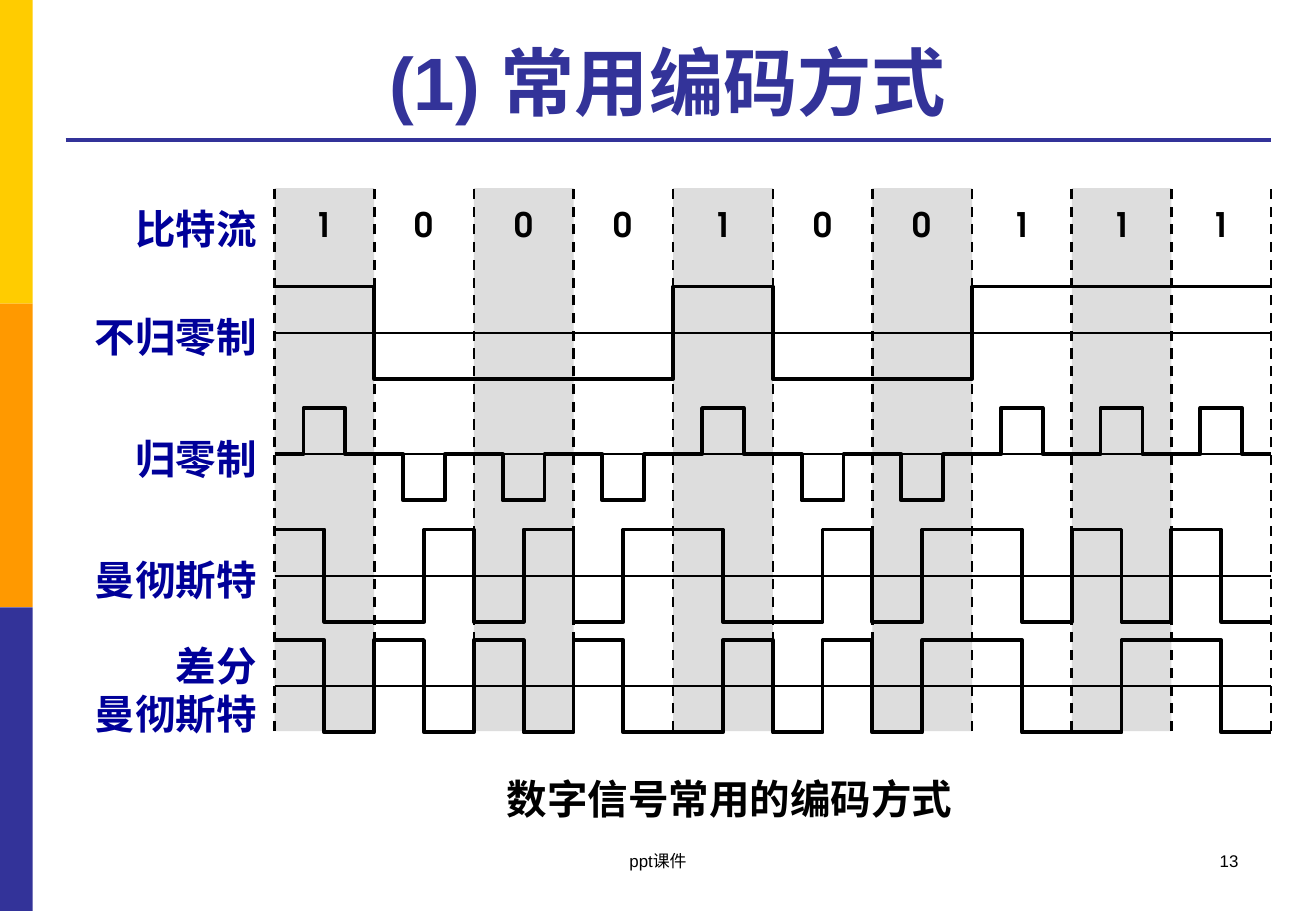
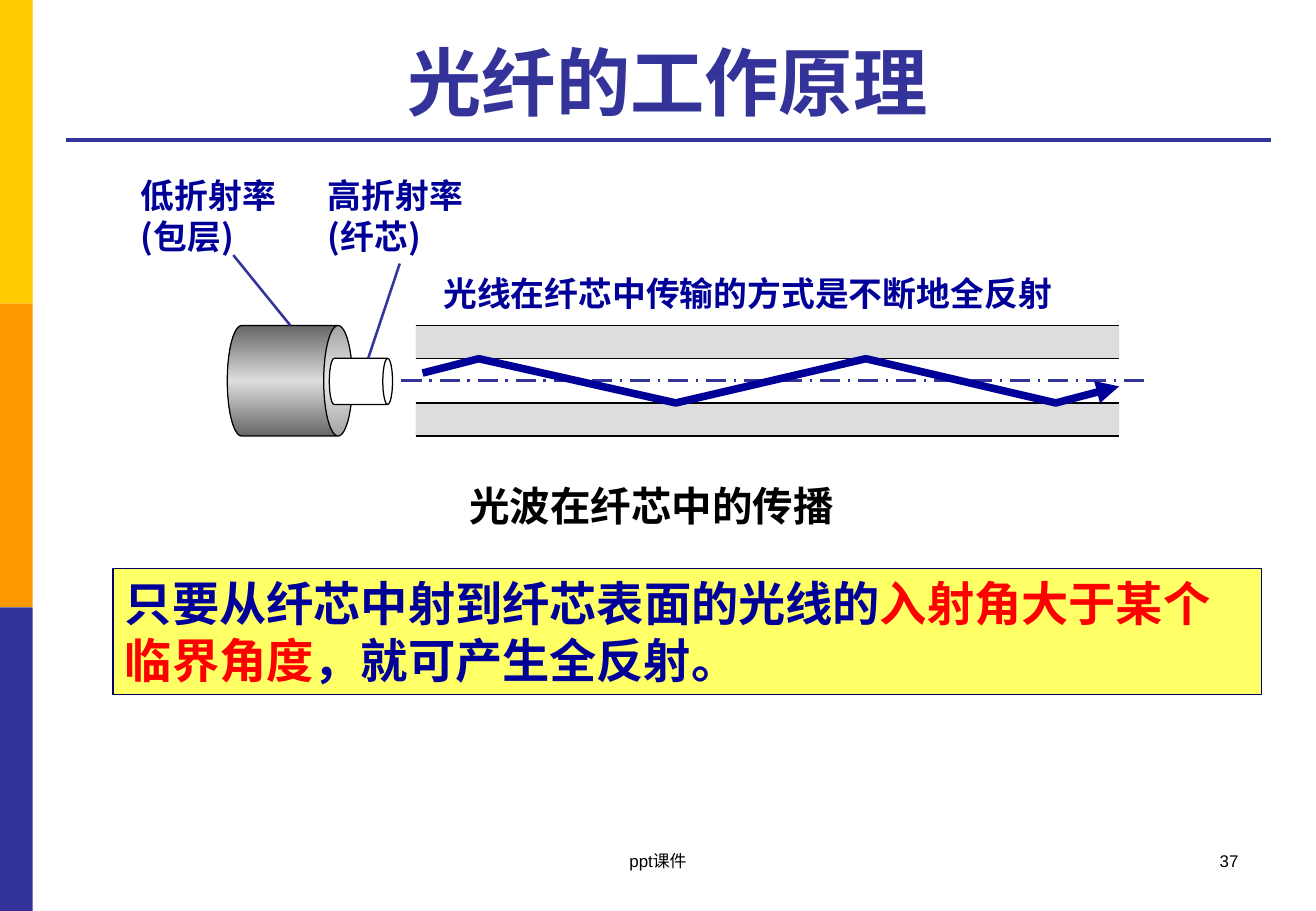
import copy
import dataclasses
import itertools

import pptx
import pptx.dml.color
import pptx.enum.dml
import pptx.enum.shapes
import pptx.enum.text
import pptx.oxml
import pptx.oxml.ns
import pptx.util

SHAPES = pptx.enum.shapes.MSO_SHAPE
DASHES = pptx.enum.dml.MSO_LINE
ALIGN = pptx.enum.text.PP_ALIGN
ANCHOR = pptx.enum.text.MSO_ANCHOR

INDIGO, NAVY, BLACK, WHITE, GREY = "333399", "000099", "000000", "FFFFFF", "DDDDDD"
BANDS = ["FFCC00", "FF9900", INDIGO]
CHINESE_FONT = "Noto Sans CJK SC"
CELL = 0.1


@dataclasses.dataclass
class Box:
    left: float
    top: float
    width: float
    height: float

    def inner(self, left, top, width, height):
        return Box(self.left + left, self.top + top, width, height)

    def point(self, across, down):
        return self.left + across * self.width, self.top + down * self.height

    def emu(self):
        return [cells(value) for value in dataclasses.astuple(self)]


PAGE = Box(0, 0, 108.3, 75)


def cells(count):
    return pptx.util.Inches(count * CELL)


def color(hex_string):
    return pptx.dml.color.RGBColor.from_string(hex_string)


def stroke(line, hex_string, width, dash=None):
    line.color.rgb = color(hex_string)
    line.width = pptx.util.Pt(width)
    if dash:
        line.dash_style = dash


def add_line(slide, start, end, hex_string=BLACK, width=1, dash=None):
    connector = slide.shapes.add_connector(
        pptx.enum.shapes.MSO_CONNECTOR.STRAIGHT, *map(cells, (*start, *end)))
    stroke(connector.line, hex_string, width, dash)
    connector._element.spPr.append(pptx.oxml.parse_xml(
        f"<a:effectLst {pptx.oxml.ns.nsdecls('a')}/>"))


def add_shape(slide, box, fill, line=None, preset=SHAPES.RECTANGLE):
    shape = slide.shapes.add_shape(preset, *box.emu())
    shape.shadow.inherit = False
    shape.fill.solid()
    shape.fill.fore_color.rgb = color(fill)
    if line:
        stroke(shape.line, line, 0.75)
    else:
        shape.line.fill.background()
    return shape


def add_path(slide, points, hex_string, width):
    corners = [(cells(across), cells(down)) for across, down in points]
    builder = slide.shapes.build_freeform(*corners[0], scale=1.0)
    builder.add_line_segments(corners[1:], close=False)
    shape = builder.convert_to_shape()
    shape.shadow.inherit = False
    shape.fill.background()
    stroke(shape.line, hex_string, width)
    return shape


def write(shape, lines, size, hex_string, align=ALIGN.LEFT, anchor=ANCHOR.TOP,
          bold=True, font="Arial"):
    frame = shape.text_frame
    frame.word_wrap = True
    frame.vertical_anchor = anchor
    for index, runs in enumerate(lines):
        paragraph = frame.paragraphs[0] if index == 0 else frame.add_paragraph()
        paragraph.alignment = align
        paragraph.font.name = font
        paragraph.font.size = pptx.util.Pt(size)
        paragraph.font.bold = bold
        paragraph.font.color.rgb = color(hex_string)
        for text, run_color in runs if isinstance(runs, list) else [(runs, None)]:
            run = paragraph.add_run()
            run.text = text
            if run_color:
                run.font.color.rgb = color(run_color)


def add_text(slide, box, lines, size, hex_string, **style):
    write(slide.shapes.add_textbox(*box.emu()), lines, size, hex_string, **style)


def add_frame(presentation, title, number):
    slide = presentation.slides.add_slide(presentation.slide_layouts[6])
    band_height = PAGE.height / len(BANDS)
    for index, fill in enumerate(BANDS):
        add_shape(slide, PAGE.inner(0, index * band_height, 2.7, band_height), fill)
    add_line(slide, (5.4, 11.5), (104.6, 11.5), INDIGO, 2.25)
    add_text(slide, PAGE.inner(5.4, 2.1, 99.1, 8.7), [title], 44, INDIGO,
             align=ALIGN.CENTER, anchor=ANCHOR.BOTTOM)
    add_text(slide, PAGE.inner(37, 69.5, 34.3, 5), ["ppt课件"], 10, BLACK,
             align=ALIGN.CENTER, bold=False)
    add_text(slide, PAGE.inner(77.6, 69.5, 25.3, 5), [number], 10, BLACK,
             align=ALIGN.RIGHT, bold=False)
    return slide


def add_caption(slide, box, text):
    add_text(slide, box, [text], 24, BLACK, align=ALIGN.CENTER)


def non_return_to_zero(bits):
    return [(1, 1 if bit == "1" else -1) for bit in bits]


def return_to_zero(bits):
    return [segment for width, level in non_return_to_zero(bits)
            for segment in [(0.29, 0), (0.42, level), (0.29, 0)]]


def manchester(bits):
    return [segment for width, level in non_return_to_zero(bits)
            for segment in [(0.5, level), (0.5, -level)]]


def differential_manchester(bits):
    segments, level = [], 1
    for index, bit in enumerate(bits):
        if bit == "0" and index > 0:
            level = -level
        segments += [(0.5, level), (0.5, -level)]
        level = -level
    return segments


def add_signal(slide, left, axis, column, segments):
    amplitude = 3.8
    ends = list(itertools.accumulate((width for width, level in segments), initial=0))
    points = [(left + edge * column, axis - level * amplitude)
              for (width, level), span in zip(segments, itertools.pairwise(ends))
              for edge in span]
    add_path(slide, points, BLACK, 2.25)


def add_encoding_chart(slide, box, bits):
    column = box.width / len(bits)
    bit_row = 3.2
    signals = [
        (["不归零制"], 12.1, non_return_to_zero),
        (["归零制"], 22.1, return_to_zero),
        (["曼彻斯特"], 32.1, manchester),
        (["差分", "曼彻斯特"], 41.2, differential_manchester),
    ]
    for index in range(0, len(bits), 2):
        add_shape(slide, box.inner(index * column, 0.2, column, box.height - 0.2), GREY)
    for index, bit in enumerate(bits):
        add_text(slide, box.inner(index * column, bit_row - 2.2, column, 4.3), [bit], 20,
                 BLACK, align=ALIGN.CENTER, font="TeX Gyre Adventor")
    for index in range(len(bits) + 1):
        share = index / len(bits)
        add_line(slide, box.point(share, 1), box.point(share, 0), width=1.5,
                 dash=DASHES.DASH)
    for label, row, encode in [(["比特流"], bit_row, None), *signals]:
        height = 5 if len(label) == 1 else 9.1
        add_text(slide, box.inner(-16.5, row + 0.3 - height / 2, 16, height), label, 24,
                 NAVY, align=ALIGN.RIGHT)
        if encode:
            axis = box.top + row
            add_line(slide, (box.left, axis), (box.left + box.width, axis))
            add_signal(slide, box.left, axis, column, encode(bits))


def add_can(slide, box, fill, depth):
    upright = Box(box.left + (box.width - box.height) / 2,
                  box.top + (box.height - box.width) / 2, box.height, box.width)
    shape = add_shape(slide, upright, fill, BLACK, SHAPES.CAN)
    shape.rotation = 90
    shape.adjustments[0] = depth
    return shape


def shade(shape, stops):
    shape.fill.gradient()
    shape.fill.gradient_angle = 0
    stop_list = shape._element.spPr.find(".//" + pptx.oxml.ns.qn("a:gsLst"))
    stop_list.append(copy.deepcopy(stop_list[-1]))
    for stop, (position, hex_string) in zip(shape.fill.gradient_stops, stops):
        stop.position = position
        stop.color.rgb = color(hex_string)


def add_cable(slide, box):
    cladding = add_can(slide, box.inner(0, 0, 10.3, 9.1), GREY, 0.26)
    shade(cladding, [(0, "666666"), (0.5, GREY), (1, "666666")])
    add_can(slide, box.inner(8.4, 2.7, 5.2, 3.8), WHITE, 0.21)
    labels = [
        (["低折射率", "(包层)"], -8.1, (0.5, -5.8), (5.2, 0)),
        (["高折射率", "(纤芯)"], 7.3, (14.2, -5.1), (11.6, 2.7)),
    ]
    for lines, left, start, end in labels:
        add_text(slide, box.inner(left, -12.9, 13.3, 7.7), lines, 20, NAVY,
                 font=CHINESE_FONT)
        add_line(slide, *[(box.left + across, box.top + down)
                          for across, down in (start, end)], INDIGO, 1.5)


def add_fibre(slide, box):
    edges = [0, 0.3, 0.7, 1]
    for (upper, lower), fill in zip(itertools.pairwise(edges), [GREY, WHITE, GREY]):
        add_shape(slide, box.inner(0, upper * box.height, box.width,
                                   (lower - upper) * box.height), fill)
    for edge in edges:
        add_line(slide, box.point(0, edge), box.point(1, edge), width=0.75)
    add_line(slide, box.point(-0.02, 0.5), box.point(1.04, 0.5), INDIGO, 1.5,
             DASHES.LONG_DASH_DOT)
    add_text(slide, box.inner(1.3, -4.8, 53, 4.4),
             ["光线在纤芯中传输的方式是不断地全反射"], 20, NAVY, font=CHINESE_FONT)
    bounces = [(0.01, 0.43), (0.09, 0.3), (0.37, 0.7), (0.64, 0.3), (0.91, 0.7),
               (1, 0.55)]
    ray = add_path(slide, [box.point(*bounce) for bounce in bounces], NAVY, 4.5)
    ray._element.spPr.find(pptx.oxml.ns.qn("a:ln")).append(pptx.oxml.parse_xml(
        f"<a:tailEnd {pptx.oxml.ns.nsdecls('a')} type='triangle'/>"))


def add_conclusion(slide, box):
    shape = add_shape(slide, box, "FFFF66", "000066")
    write(shape, [[("只要从纤芯中射到纤芯表面的光线的", None),
                   ("入射角大于某个临界角度", "FF0000"),
                   ("，就可产生全反射。", None)]], 28, NAVY)


def main():
    presentation = pptx.Presentation()
    presentation.slide_width = cells(PAGE.width)
    presentation.slide_height = cells(PAGE.height)

    encoding = add_frame(presentation, "(1) 常用编码方式", "13")
    add_encoding_chart(encoding, PAGE.inner(22.6, 15.3, 82, 44.9), "1000100111")
    add_caption(encoding, PAGE.inner(32.8, 63.2, 54.5, 5.1), "数字信号常用的编码方式")

    optics = add_frame(presentation, "光纤的工作原理", "37")
    add_cable(optics, PAGE.inner(18.7, 26.8, 13.6, 9.1))
    add_fibre(optics, PAGE.inner(34.2, 26.8, 57.9, 9.1))
    add_caption(optics, PAGE.inner(23.5, 39.1, 60.2, 5.1), "光波在纤芯中的传播")
    add_conclusion(optics, PAGE.inner(9.3, 46.8, 94.5, 10.4))

    presentation.save("out.pptx")


if __name__ == "__main__":
    main()
